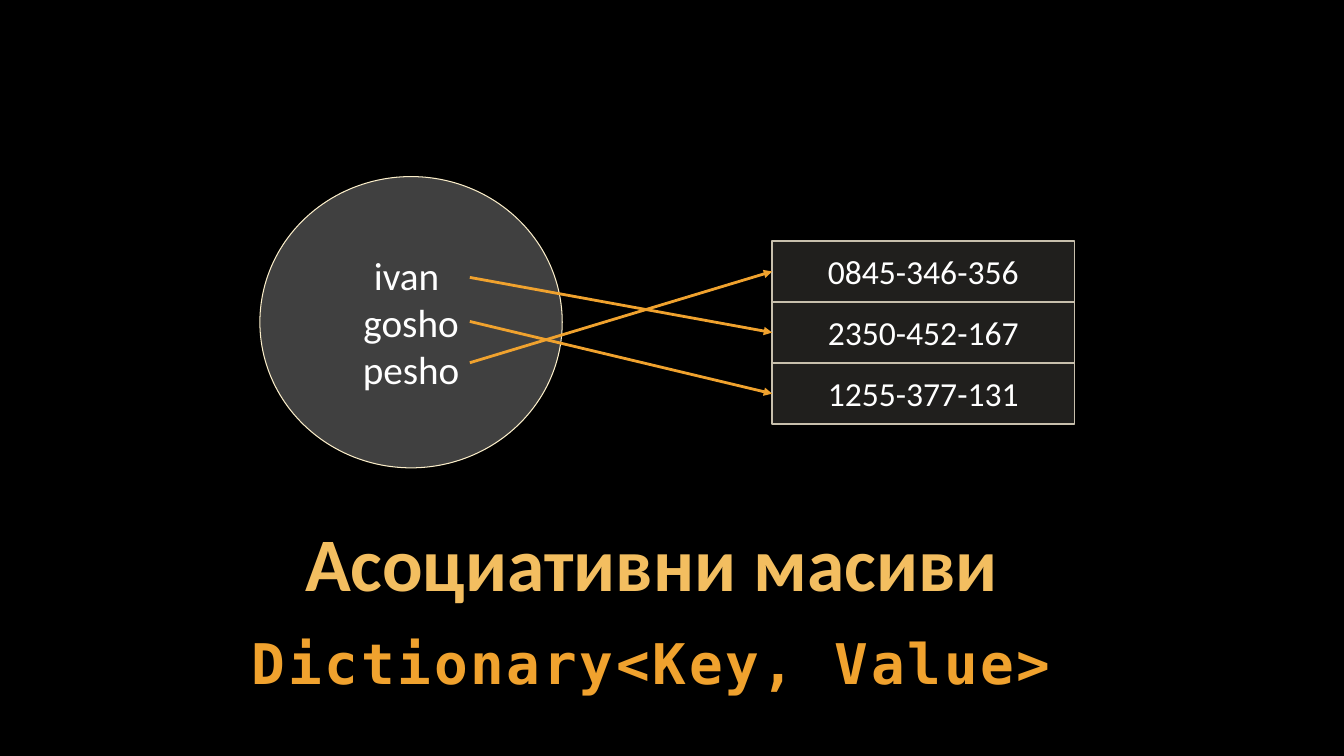
from dataclasses import dataclass

import lxml.etree
import pptx
import pptx.dml.color
import pptx.enum.shapes
import pptx.enum.text
import pptx.oxml.ns
import pptx.util

Cm = pptx.util.Cm
Pt = pptx.util.Pt
qn = pptx.oxml.ns.qn
ANCHOR = pptx.enum.text.MSO_ANCHOR
SHAPES = pptx.enum.shapes.MSO_SHAPE

ORANGE = "F0A22E"
WHITE = "FFFFFF"
PHONE_LEFT, PHONE_TOP = 19.46, 6.07
PHONE_WIDTH, PHONE_HEIGHT = 7.62, 1.54
ARROW_LEFT = 11.84


@dataclass
class Style:
    size: float
    color: str = WHITE
    font: str = "Calibri"
    bold: bool = False


@dataclass
class Heading:
    text: str
    top: float
    height: float
    anchor: ANCHOR
    style: Style
    line_spacing: float | pptx.util.Length
    space_after: float = 0
    tracking: float = 0


@dataclass
class Panel:
    shape: SHAPES
    box: tuple[float, float, float, float]
    text: str
    style: Style
    fill: str
    opacity: int
    line: str
    line_width: float


@dataclass
class Entry:
    start_y: float
    phone_row: int


HEADINGS = [
    Heading("Асоциативни масиви", 13.23, 2.16, ANCHOR.BOTTOM,
            Style(54, "F3BE60", bold=True), Pt(54)),
    Heading("Dictionary<Key, Value>", 15.65, 1.9, ANCHOR.TOP,
            Style(40, ORANGE, "DejaVu Sans Mono", True), 1.05, 6, 2),
]
KEYS = Panel(SHAPES.OVAL, (6.55, 4.45, 7.62, 7.34), "ivan \ngosho\npesho",
             Style(28), "808080", 50, "FBEEC9", 0.75)
PHONES = ["0845-346-356", "2350-452-167", "1255-377-131"]
ENTRIES = [Entry(6.99, 1), Entry(8.1, 2), Entry(9.14, 0)]


def rgb(value: str) -> pptx.dml.color.RGBColor:
    return pptx.dml.color.RGBColor.from_string(value)


def write_text(frame, text: str, style: Style) -> None:
    frame.text = text
    frame.word_wrap = True
    for paragraph in frame.paragraphs:
        paragraph.alignment = pptx.enum.text.PP_ALIGN.CENTER
        for run in paragraph.runs:
            run.font.size = Pt(style.size)
            run.font.name = style.font
            run.font.bold = style.bold
            run.font.color.rgb = rgb(style.color)


def set_margins(frame, horizontal: float, vertical: float) -> None:
    frame.margin_left = frame.margin_right = Cm(horizontal)
    frame.margin_top = frame.margin_bottom = Cm(vertical)


def add_heading(slide, heading: Heading) -> None:
    frame = slide.shapes.add_textbox(
        Cm(4.01), Cm(heading.top), Cm(24.84), Cm(heading.height)).text_frame
    write_text(frame, heading.text, heading.style)
    set_margins(frame, 0.1, 0.1)
    frame.vertical_anchor = heading.anchor
    paragraph = frame.paragraphs[0]
    paragraph.line_spacing = heading.line_spacing
    paragraph.space_after = Pt(heading.space_after)
    if heading.tracking:
        properties = paragraph.runs[0].font._element
        properties.set("spc", str(round(heading.tracking * 100)))


def add_panel(slide, panel: Panel):
    shape = slide.shapes.add_shape(panel.shape, *map(Cm, panel.box))
    shape.shadow.inherit = False
    shape.fill.solid()
    shape.fill.fore_color.rgb = rgb(panel.fill)
    color = shape._element.spPr.find(qn("a:solidFill"))[0]
    lxml.etree.SubElement(color, qn("a:alpha"), val=str(panel.opacity * 1000))
    shape.line.color.rgb = rgb(panel.line)
    shape.line.width = Pt(panel.line_width)
    write_text(shape.text_frame, panel.text, panel.style)
    return shape


def add_phone(slide, row: int, number: str):
    box = (PHONE_LEFT, PHONE_TOP + row * PHONE_HEIGHT, PHONE_WIDTH, PHONE_HEIGHT)
    phone = add_panel(slide, Panel(SHAPES.RECTANGLE, box, number, Style(24),
                                   "D9D5C7", 15, "C7BFAC", 1))
    set_margins(phone.text_frame, 0.51, 0.25)
    phone.text_frame.vertical_anchor = ANCHOR.TOP
    return phone


def add_arrow(slide, entry: Entry, phone) -> None:
    start_y = Cm(entry.start_y)
    arrow = slide.shapes.add_connector(
        pptx.enum.shapes.MSO_CONNECTOR.STRAIGHT,
        Cm(ARROW_LEFT), start_y, Cm(PHONE_LEFT), start_y)
    arrow.end_connect(phone, 1)
    arrow.line.color.rgb = rgb(ORANGE)
    arrow.line.width = Pt(2)
    lxml.etree.SubElement(arrow.line._get_or_add_ln(), qn("a:tailEnd"), type="triangle")
    lxml.etree.SubElement(arrow._element.spPr, qn("a:effectLst"))


def main() -> None:
    deck = pptx.Presentation()
    deck.slide_width, deck.slide_height = Cm(33.87), Cm(19.05)
    slide = deck.slides.add_slide(deck.slide_layouts[6])
    slide.background.fill.solid()
    slide.background.fill.fore_color.rgb = rgb("000000")
    for heading in HEADINGS:
        add_heading(slide, heading)
    add_panel(slide, KEYS)
    phones = [add_phone(slide, row, number) for row, number in enumerate(PHONES)]
    for entry in ENTRIES:
        add_arrow(slide, entry, phones[entry.phone_row])
    deck.save("out.pptx")


if __name__ == "__main__":
    main()
